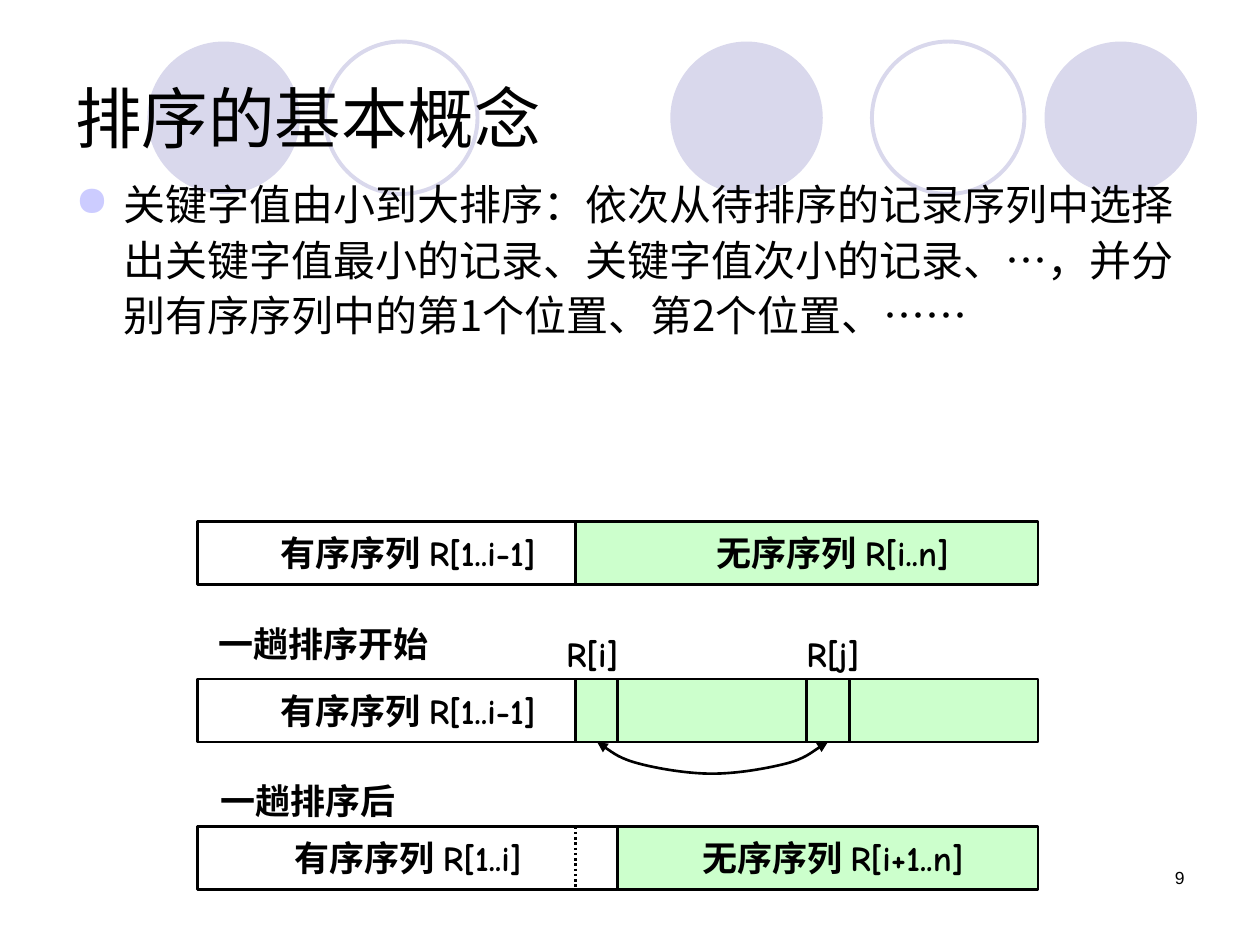
import lxml.etree
import pptx
import pptx.dml.color
import pptx.enum.dml
import pptx.enum.shapes
import pptx.enum.text
import pptx.oxml.ns
import pptx.util

Inches = pptx.util.Inches
Pt = pptx.util.Pt
qn = pptx.oxml.ns.qn
RGBColor = pptx.dml.color.RGBColor
ALIGN = pptx.enum.text.PP_ALIGN
ANCHOR = pptx.enum.text.MSO_ANCHOR
SHAPE = pptx.enum.shapes.MSO_SHAPE

BLACK = RGBColor(0x00, 0x00, 0x00)
LAVENDER = RGBColor(0xD9, 0xD8, 0xEC)
GREEN = RGBColor(0xCC, 0xFF, 0xCC)
CHINESE_FONT = "Noto Sans CJK SC"

deck = pptx.Presentation()
deck.slide_width, deck.slide_height = Inches(10), Inches(7.5)
page = deck.slides.add_slide(deck.slide_layouts[6])


def add_text(text, left, top, width, height, size=20, font="Comic Neue", bold=True,
             align=ALIGN.CENTER, anchor=ANCHOR.TOP, inset=True, fill=None, bullet=None):
    box = page.shapes.add_textbox(Inches(left), Inches(top), Inches(width), Inches(height))
    if fill is not None:
        box.fill.solid()
        box.fill.fore_color.rgb = fill
    frame = box.text_frame
    frame.word_wrap = True
    frame.vertical_anchor = anchor
    if not inset:
        frame.margin_left = frame.margin_right = frame.margin_top = frame.margin_bottom = 0
    para = frame.paragraphs[0]
    para.alignment = align
    if bullet:
        properties = para._p.get_or_add_pPr()
        properties.set("marL", str(Inches(0.38)))
        properties.set("indent", str(-Inches(0.38)))
        color = lxml.etree.SubElement(properties, qn("a:buClr"))
        lxml.etree.SubElement(color, qn("a:srgbClr"), val="CCCCFF")
        lxml.etree.SubElement(properties, qn("a:buChar"), char=bullet)
        para.line_spacing = 1.1
    span = para.add_run()
    span.text = text
    span.font.size = Pt(size)
    span.font.name = font
    span.font.bold = bold
    span.font.color.rgb = BLACK
    span._r.get_or_add_rPr().set("lang", "zh-CN")
    latin = span._r.rPr.find(qn("a:latin"))
    latin.addnext(latin.makeelement(qn("a:ea"), typeface=CHINESE_FONT))


def add_outline(kind, left, top, width, height, fill=None, line=None, weight=1.5):
    shape = page.shapes.add_shape(kind, Inches(left), Inches(top), Inches(width), Inches(height))
    shape.shadow.inherit = False
    if fill is None:
        shape.fill.background()
    else:
        shape.fill.solid()
        shape.fill.fore_color.rgb = fill
    if line is None:
        shape.line.fill.background()
    else:
        shape.line.color.rgb = line
        shape.line.width = Pt(weight)


# Background circles
for left in (5.32, 8.29, 1.17):
    add_outline(SHAPE.OVAL, left, 0.33, 1.21, 1.21, fill=LAVENDER)
for left in (6.92, 2.58):
    add_outline(SHAPE.OVAL, left, 0.33, 1.21, 1.21, line=LAVENDER, weight=2.25)

# Page number, title and body
add_text("9", 7.17, 6.83, 2.33, 0.5, size=10, font="Arial", bold=False, align=ALIGN.RIGHT)
add_text("排序的基本概念", 0.5, 0.3, 9, 1.25, size=38, font="Arial", bold=False,
         align=ALIGN.LEFT, anchor=ANCHOR.MIDDLE)
add_text("关键字值由小到大排序：依次从待排序的记录序列中选择出关键字值最小的记录、"
         "关键字值次小的记录、…，并分别有序序列中的第1个位置、第2个位置、……",
         0.5, 1.33, 9, 2.12, size=24, font=CHINESE_FONT, bold=False,
         align=ALIGN.LEFT, bullet="●")

# Sequence bars: top, start of green part, end of white part, labels
bar_left, bar_right, bar_height = 1.57, 8.24, 0.5
bars = [
    (4.14, 4.57, 4.57, "有序序列 R[1..i-1]", "无序序列 R[i..n]"),
    (5.39, 4.57, 4.9, "有序序列 R[1..i-1]", None),
    (6.56, 4.9, 4.9, "有序序列 R[1..i]", "无序序列 R[i+1..n]"),
]
for top, green_left, white_right, sorted_label, unsorted_label in bars:
    add_outline(SHAPE.RECTANGLE, green_left, top, bar_right - green_left, bar_height,
                fill=GREEN, line=BLACK)
    add_outline(SHAPE.RECTANGLE, bar_left, top, white_right - bar_left, bar_height, line=BLACK)
    add_text(sorted_label, 1.74, top + 0.08, 3, 0.33, inset=False)
    if unsorted_label:
        add_text(unsorted_label, 5.07, top + 0.08, 3.08, 0.33, inset=False, fill=GREEN)

# Dividers inside the bars
for x, top, dash in ((6.4, 5.39, None), (6.74, 5.39, None),
                     (4.57, 6.56, pptx.enum.dml.MSO_LINE.ROUND_DOT)):
    divider = page.shapes.add_connector(
        pptx.enum.shapes.MSO_CONNECTOR.STRAIGHT,
        Inches(x), Inches(top), Inches(x), Inches(top + bar_height))
    divider.line.color.rgb = BLACK
    divider.line.width = Pt(1.5)
    if dash:
        divider.line.dash_style = dash
    lxml.etree.SubElement(divider._element.spPr, qn("a:effectLst"))

# Captions above the bars
for text, left, top, width in (("R[j]", 6.15, 4.97, 0.92), ("R[i]", 4.24, 4.97, 0.92),
                               ("一趟排序后", 1.57, 6.14, 1.75),
                               ("一趟排序开始", 1.57, 4.89, 2)):
    add_text(text, left, top, width, 0.43)

# Swap arrow: a polyline through the control points, turned into Bezier curves
controls = [(4.74, 5.89), (4.83, 5.95), (4.92, 6.02), (5.07, 6.06), (5.22, 6.1),
            (5.46, 6.14), (5.65, 6.14), (5.85, 6.14), (6.08, 6.1), (6.24, 6.06),
            (6.39, 6.02), (6.51, 5.92), (6.57, 5.89)]
points = [(Inches(x), Inches(y)) for x, y in controls]
builder = page.shapes.build_freeform(*points[0])
builder.add_line_segments(points[1:], close=False)
swap = builder.convert_to_shape()
swap.shadow.inherit = False
swap.fill.background()
swap.line.color.rgb = BLACK
swap.line.width = Pt(1.5)
outline = swap._element.spPr.find(".//" + qn("a:path"))
segments = outline.findall(qn("a:lnTo"))
for start in range(0, len(segments), 3):
    curve = lxml.etree.SubElement(outline, qn("a:cubicBezTo"))
    for segment in segments[start:start + 3]:
        curve.append(segment[0])
        outline.remove(segment)
for end in ("a:headEnd", "a:tailEnd"):
    lxml.etree.SubElement(swap.line._get_or_add_ln(), qn(end), type="triangle")

deck.save("out.pptx")
